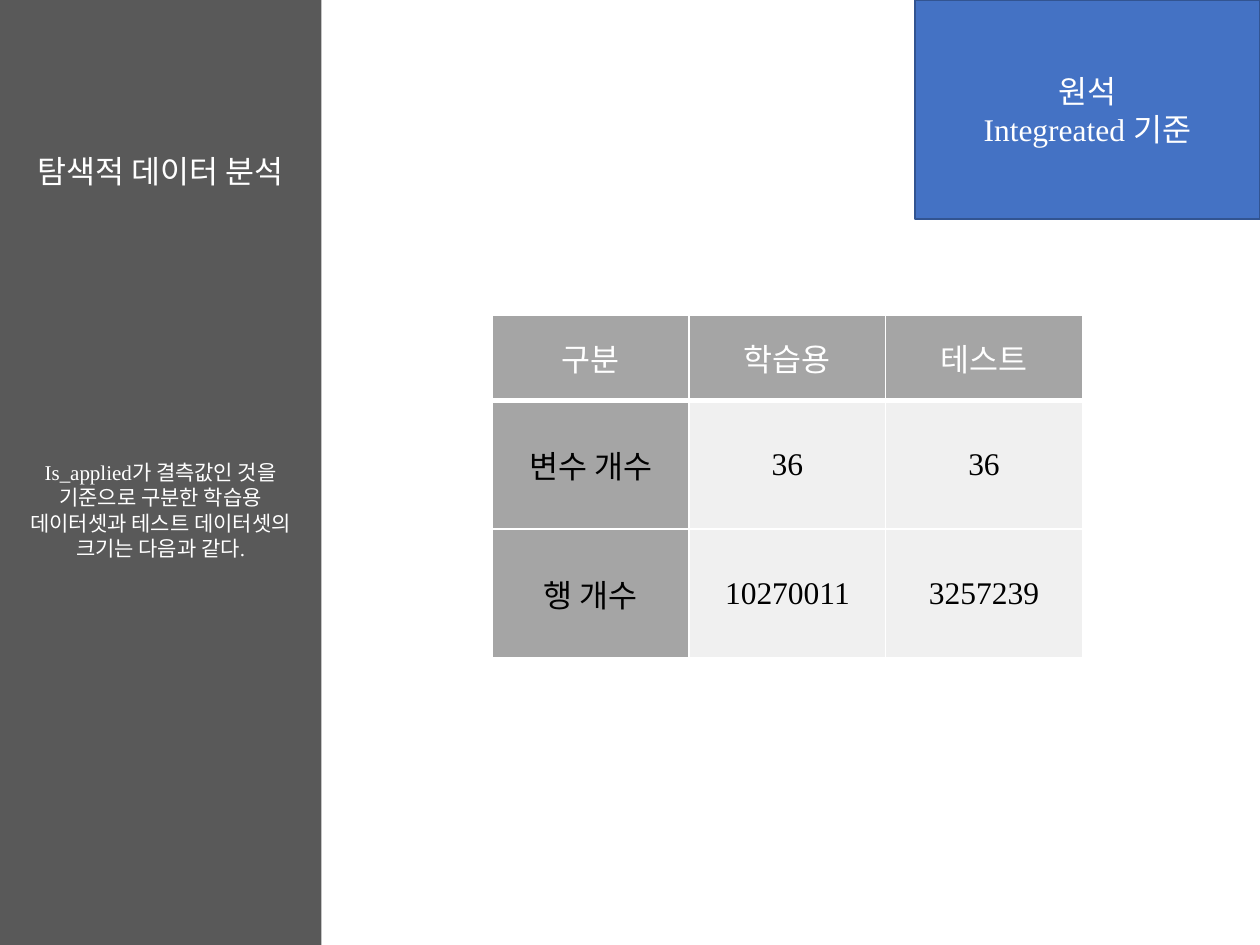
from dataclasses import dataclass

import lxml.etree
import pptx
import pptx.dml.color
import pptx.enum.shapes
import pptx.enum.text
import pptx.oxml.ns
import pptx.util

Inches = pptx.util.Inches
Pt = pptx.util.Pt
RGBColor = pptx.dml.color.RGBColor
qn = pptx.oxml.ns.qn

WHITE = RGBColor(0xFF, 0xFF, 0xFF)
BLACK = RGBColor(0x00, 0x00, 0x00)
CHARCOAL = RGBColor(0x59, 0x59, 0x59)
GRAY = RGBColor(0xA5, 0xA5, 0xA5)
PALE = RGBColor(0xF0, 0xF0, 0xF0)
BLUE = RGBColor(0x44, 0x72, 0xC4)
NAVY = RGBColor(0x32, 0x54, 0x91)

FONT = "Times New Roman"
SIDEBAR_WIDTH = 2.55
COLUMN_WIDTH = 1.56
ROW_HEIGHTS = (0.68, 1.02, 1.02)
DATASET_ROWS = (
    ("구분", "학습용", "테스트"),
    ("변수 개수", "36", "36"),
    ("행 개수", "10270011", "3257239"),
)


@dataclass(frozen=True)
class Area:
    left: float
    top: float
    width: float
    height: float

    def lengths(self) -> tuple:
        return tuple(map(Inches, (self.left, self.top, self.width, self.height)))


def write_text(frame, lines: tuple[str, ...], size: int = 18,
               color: RGBColor = WHITE) -> None:
    font_format = {"name": FONT, "size": Pt(size), "bold": False}
    for index, line in enumerate(lines):
        paragraph = frame.add_paragraph() if index else frame.paragraphs[0]
        paragraph.alignment = pptx.enum.text.PP_ALIGN.CENTER
        run = paragraph.add_run()
        run.text = line
        for attribute, value in font_format.items():
            setattr(run.font, attribute, value)
        run.font.color.rgb = color


def fit_text(frame) -> None:
    frame_format = {
        "word_wrap": True,
        "auto_size": pptx.enum.text.MSO_AUTO_SIZE.SHAPE_TO_FIT_TEXT,
        "vertical_anchor": pptx.enum.text.MSO_ANCHOR.TOP,
    }
    for attribute, value in frame_format.items():
        setattr(frame, attribute, value)


def add_block(slide, area: Area, fill: RGBColor, outline: RGBColor | None = None):
    block = slide.shapes.add_shape(
        pptx.enum.shapes.MSO_SHAPE.RECTANGLE, *area.lengths())
    block.shadow.inherit = False
    block.fill.solid()
    block.fill.fore_color.rgb = fill
    if outline is None:
        block.line.fill.background()
    else:
        block.line.color.rgb = outline
        block.line.width = Pt(1)
    return block


def set_borders(cell, bottom: float) -> None:
    properties = cell._tc.get_or_add_tcPr()
    widths = {"a:lnL": 1, "a:lnR": 1, "a:lnT": 1, "a:lnB": bottom}
    for position, (tag, width) in enumerate(widths.items()):
        border = lxml.etree.Element(qn(tag), w=str(Pt(width)))
        fill = lxml.etree.SubElement(border, qn("a:solidFill"))
        lxml.etree.SubElement(fill, qn("a:srgbClr"), val=str(WHITE))
        properties.insert(position, border)


def add_dataset_table(slide, area: Area) -> None:
    table = slide.shapes.add_table(
        len(DATASET_ROWS), len(DATASET_ROWS[0]), *area.lengths()).table
    for column in table.columns:
        column.width = Inches(COLUMN_WIDTH)
    for row_index, (height, values) in enumerate(zip(ROW_HEIGHTS, DATASET_ROWS)):
        table.rows[row_index].height = Inches(height)
        is_header = row_index == 0
        for column_index, value in enumerate(values):
            cell = table.cell(row_index, column_index)
            cell.vertical_anchor = pptx.enum.text.MSO_ANCHOR.MIDDLE
            cell.fill.solid()
            cell.fill.fore_color.rgb = GRAY if is_header or column_index == 0 else PALE
            set_borders(cell, 3 if is_header else 1)
            write_text(cell.text_frame, (value,), color=WHITE if is_header else BLACK)


def main() -> None:
    presentation = pptx.Presentation()
    presentation.slide_width = Inches(10)
    presentation.slide_height = Inches(7.5)
    slide = presentation.slides.add_slide(presentation.slide_layouts[5])

    title = slide.shapes.title
    sidebar = add_block(slide, Area(0, 0, SIDEBAR_WIDTH, 7.5), CHARCOAL)
    title.element.addprevious(sidebar.element)
    title_area = Area(0, 1.16, SIDEBAR_WIDTH, 0.4)
    for side, length in zip(("left", "top", "width", "height"), title_area.lengths()):
        setattr(title, side, length)
    fit_text(title.text_frame)
    write_text(title.text_frame, ("탐색적 데이터 분석",))

    explanation = slide.shapes.add_textbox(*Area(0, 3.6, SIDEBAR_WIDTH, 0.91).lengths())
    fit_text(explanation.text_frame)
    write_text(
        explanation.text_frame,
        ("Is_applied가 결측값인 것을 기준으로 구분한 학습용 "
         "데이터셋과 테스트 데이터셋의 크기는 다음과 같다.",),
        size=12)

    add_dataset_table(slide, Area(3.91, 2.5, 3 * COLUMN_WIDTH, sum(ROW_HEIGHTS)))

    basis = add_block(slide, Area(7.26, 0, 2.74, 1.74), BLUE, NAVY)
    basis.text_frame.vertical_anchor = pptx.enum.text.MSO_ANCHOR.MIDDLE
    write_text(basis.text_frame, ("원석", "Integreated 기준"))

    presentation.save("out.pptx")


if __name__ == "__main__":
    main()
